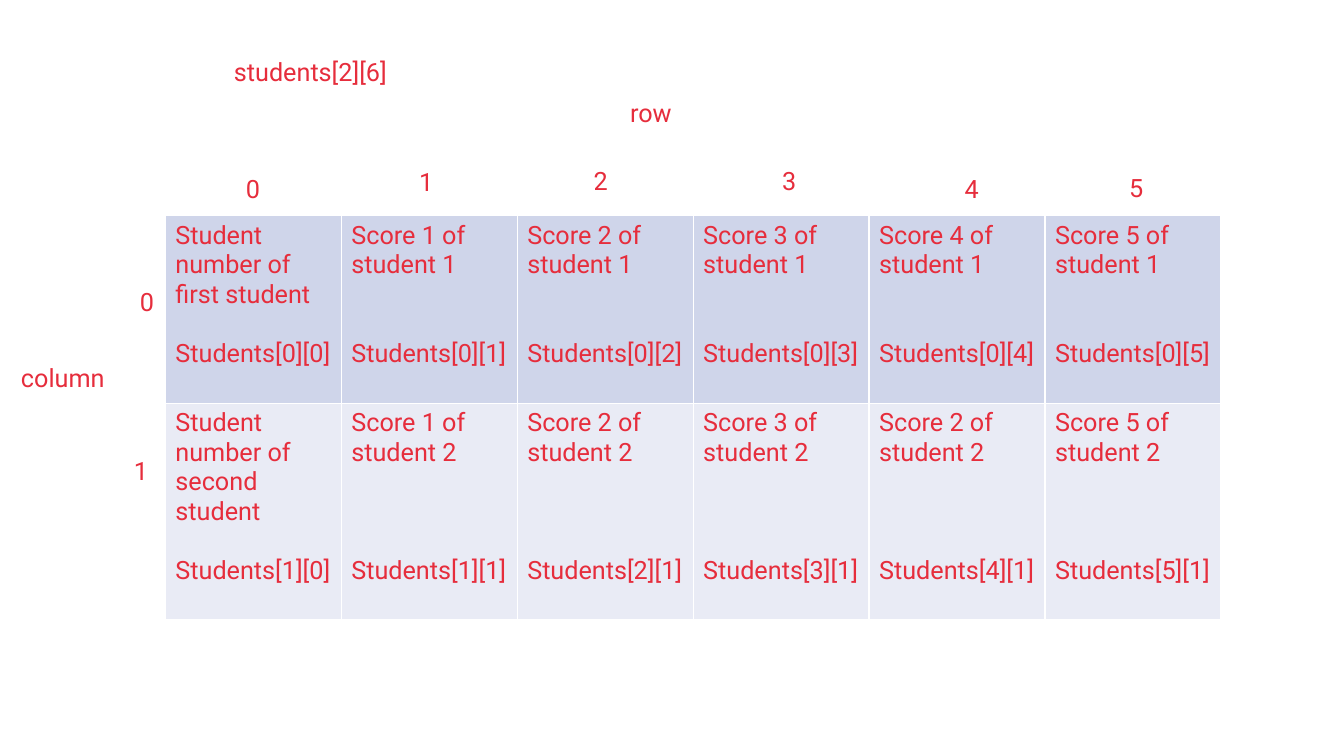
from lxml.etree import SubElement
from pptx import Presentation
from pptx.dml.color import RGBColor
from pptx.enum.text import MSO_ANCHOR, MSO_AUTO_SIZE, PP_ALIGN
from pptx.oxml.ns import qn
from pptx.util import Inches, Pt

COLORS = {"text": "E62D3C", "border": "FFFFFF", "bands": ["CFD5EA", "E9EBF5"]}
FONT, SIZE, LINE = "Roboto", 18, 21.1
GRID = (1.64, 2.14, 10.47, 4.01)
ROW_HEIGHTS = [1.86, 2.15]
LABEL_HEIGHT, INDEX_WIDTH = 0.4, 0.34

# Each cell: description, element name, empty lines between the two
STUDENTS = [
    [("Student number of first student", "Students[0][0]", 1)]
    + [(f"Score {n} of student 1", f"Students[0][{n}]", 2) for n in range(1, 6)],
    [("Student number of second student", "Students[1][0]", 1)]
    + [(f"Score {score} of student 2", f"Students[{n}][1]", 3)
       for n, score in enumerate([1, 2, 3, 2, 5], start=1)],
]
# Left and top of each index, measured from the grid's corner
COLUMN_INDEXES = [(0.7, -0.47), (2.42, -0.54), (4.15, -0.55),
                  (6.02, -0.55), (7.83, -0.47), (9.46, -0.48)]
ROW_INDEXES = [(-0.35, 0.65), (-0.41, 2.33)]


def write(p, text, size=SIZE, color=COLORS["text"], before=0):
    p.alignment = PP_ALIGN.LEFT
    p.space_before = Pt(before)
    r = p.add_run()
    r.text = text
    r.font.name = FONT
    r.font.size = Pt(size)
    r.font.color.rgb = RGBColor.from_string(color)


def add_label(s, text, left, top, width):
    sp = s.shapes.add_textbox(*map(Inches, (left, top, width, LABEL_HEIGHT)))
    tf = sp.text_frame
    tf.word_wrap = False
    tf.auto_size = MSO_AUTO_SIZE.SHAPE_TO_FIT_TEXT
    write(tf.paragraphs[0], text)


def set_borders(cell, color, width=1):
    tc_pr = cell._tc.get_or_add_tcPr()
    for side in ("a:lnL", "a:lnR", "a:lnT", "a:lnB"):
        ln = SubElement(tc_pr, qn(side), w=str(Pt(width)))
        fill = SubElement(ln, qn("a:solidFill"))
        SubElement(fill, qn("a:srgbClr"), val=color)


def add_title(s, text, box):
    title = s.shapes.title
    title.left, title.top, title.width, title.height = map(Inches, box)
    tf = title.text_frame
    tf.word_wrap = True
    tf.auto_size = MSO_AUTO_SIZE.NONE
    tf.vertical_anchor = MSO_ANCHOR.TOP
    write(tf.paragraphs[0], text)


def add_array_table(s, box):
    rows, cols = len(STUDENTS), len(STUDENTS[0])
    table = s.shapes.add_table(rows, cols, *map(Inches, box)).table
    table.first_row = table.horz_banding = False
    for column in table.columns:
        column.width = Inches(box[2] / cols)
    for i, elements in enumerate(STUDENTS):
        table.rows[i].height = Inches(ROW_HEIGHTS[i])
        for j, (description, name, gap) in enumerate(elements):
            cell = table.cell(i, j)
            set_borders(cell, COLORS["border"])
            cell.fill.solid()
            cell.fill.fore_color.rgb = RGBColor.from_string(COLORS["bands"][i])
            tf = cell.text_frame
            write(tf.paragraphs[0], description)
            write(tf.add_paragraph(), name, before=gap * LINE)


def add_axis_labels(s, box):
    left, top = box[:2]
    add_label(s, "row", left + 4.51, top - 1.22, 0.62)
    add_label(s, "column", left - 1.53, top + 1.41, 1.04)
    for indexes in (COLUMN_INDEXES, ROW_INDEXES):
        for n, (dx, dy) in enumerate(indexes):
            add_label(s, str(n), left + dx, top + dy, INDEX_WIDTH)


def main():
    prs = Presentation()
    prs.slide_width, prs.slide_height = Inches(13.33), Inches(7.5)
    s = prs.slides.add_slide(prs.slide_layouts[5])
    add_title(s, "students[2][6]", (2.22, 0.51, 6.67, LABEL_HEIGHT))
    add_array_table(s, GRID)
    add_axis_labels(s, GRID)
    prs.save("out.pptx")


if __name__ == "__main__":
    main()
